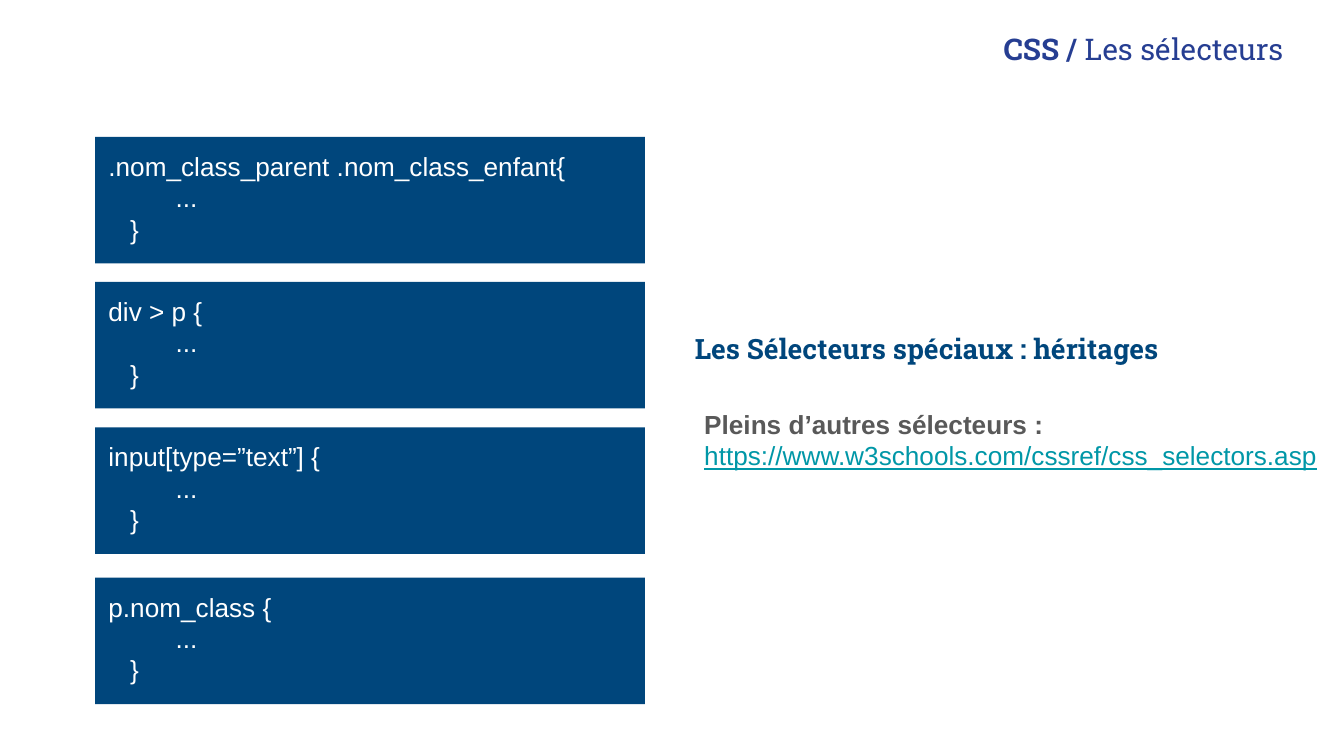
from pptx import Presentation
from pptx.dml.color import RGBColor
from pptx.enum.shapes import MSO_SHAPE
from pptx.enum.text import MSO_ANCHOR, MSO_AUTO_SIZE, PP_ALIGN
from pptx.util import Cm, Pt

NAVY = "00467C"
INDIGO = "263E92"
GREY = "595959"
TEAL = "0097A7"
WHITE = "FFFFFF"
BODY_FONT = "Arial"
HEADING_FONT = "Roboto Slab"

CODE_BLOCKS = [
    (2.59, ".nom_class_parent .nom_class_enfant{ \v\t...\v   }"),
    (5.33, "div > p { \v\t...\v   }"),
    (8.08, "input[type=”text”] { \v\t...\v   }"),
    (10.92, "p.nom_class { \v\t...\v   }"),
]


def colour(value):
    return RGBColor.from_string(value)


def format_span(span, font, size, value, bold=False, underline=False):
    span.font.name = font
    span.font.size = Pt(size)
    span.font.color.rgb = colour(value)
    span.font.bold = bold
    span.font.underline = underline


def add_span(para, text, *style, **options):
    span = para.add_run()
    span.text = text
    format_span(span, *style, **options)


def prepare_frame(box, inset=0.25):
    frame = box.text_frame
    frame.word_wrap = True
    frame.auto_size = MSO_AUTO_SIZE.NONE
    frame.vertical_anchor = MSO_ANCHOR.TOP
    frame.margin_left = frame.margin_right = Cm(inset)
    frame.margin_top = frame.margin_bottom = Cm(inset)
    para = frame.paragraphs[0]
    para.alignment = PP_ALIGN.LEFT
    return para


def set_title(page, text):
    title = page.shapes.title
    title.left, title.top = Cm(12.88), Cm(6.02)
    title.width, title.height = Cm(23.67), Cm(1.78)
    para = prepare_frame(title)
    para.text = text
    format_span(para.runs[0], HEADING_FONT, 15, NAVY, bold=True)


def add_code_block(page, top, code):
    box = page.shapes.add_shape(
        MSO_SHAPE.RECTANGLE, Cm(1.8), Cm(top), Cm(10.39), Cm(2.39)
    )
    box.shadow.inherit = False
    box.fill.solid()
    box.fill.fore_color.rgb = colour(NAVY)
    box.line.fill.background()
    para = prepare_frame(box)
    para.text = code
    for span in para.runs:
        format_span(span, BODY_FONT, 14, WHITE)


def add_reference(page):
    box = page.shapes.add_textbox(Cm(13.06), Cm(7.47), Cm(12.98), Cm(2.77))
    para = prepare_frame(box)
    add_span(para, "Pleins d’autres sélecteurs : ", BODY_FONT, 14, GREY, bold=True)
    add_span(
        para,
        "https://www.w3schools.com/cssref/css_selectors.asp",
        BODY_FONT, 14, TEAL, underline=True,
    )


def add_header(page):
    box = page.shapes.add_textbox(Cm(12.7), Cm(0.76), Cm(11.56), Cm(0.48))
    para = prepare_frame(box, inset=0)
    para.alignment = PP_ALIGN.RIGHT
    para.line_spacing = 0.7
    add_span(para, "CSS / ", HEADING_FONT, 16, INDIGO, bold=True)
    add_span(para, "Les sélecteurs", HEADING_FONT, 16, INDIGO)


def main():
    deck = Presentation()
    deck.slide_width, deck.slide_height = Cm(25.4), Cm(14.29)
    page = deck.slides.add_slide(deck.slide_layouts[5])
    set_title(page, "Les Sélecteurs spéciaux : héritages")
    for top, code in CODE_BLOCKS:
        add_code_block(page, top, code)
    add_reference(page)
    add_header(page)
    deck.save("out.pptx")


if __name__ == "__main__":
    main()
